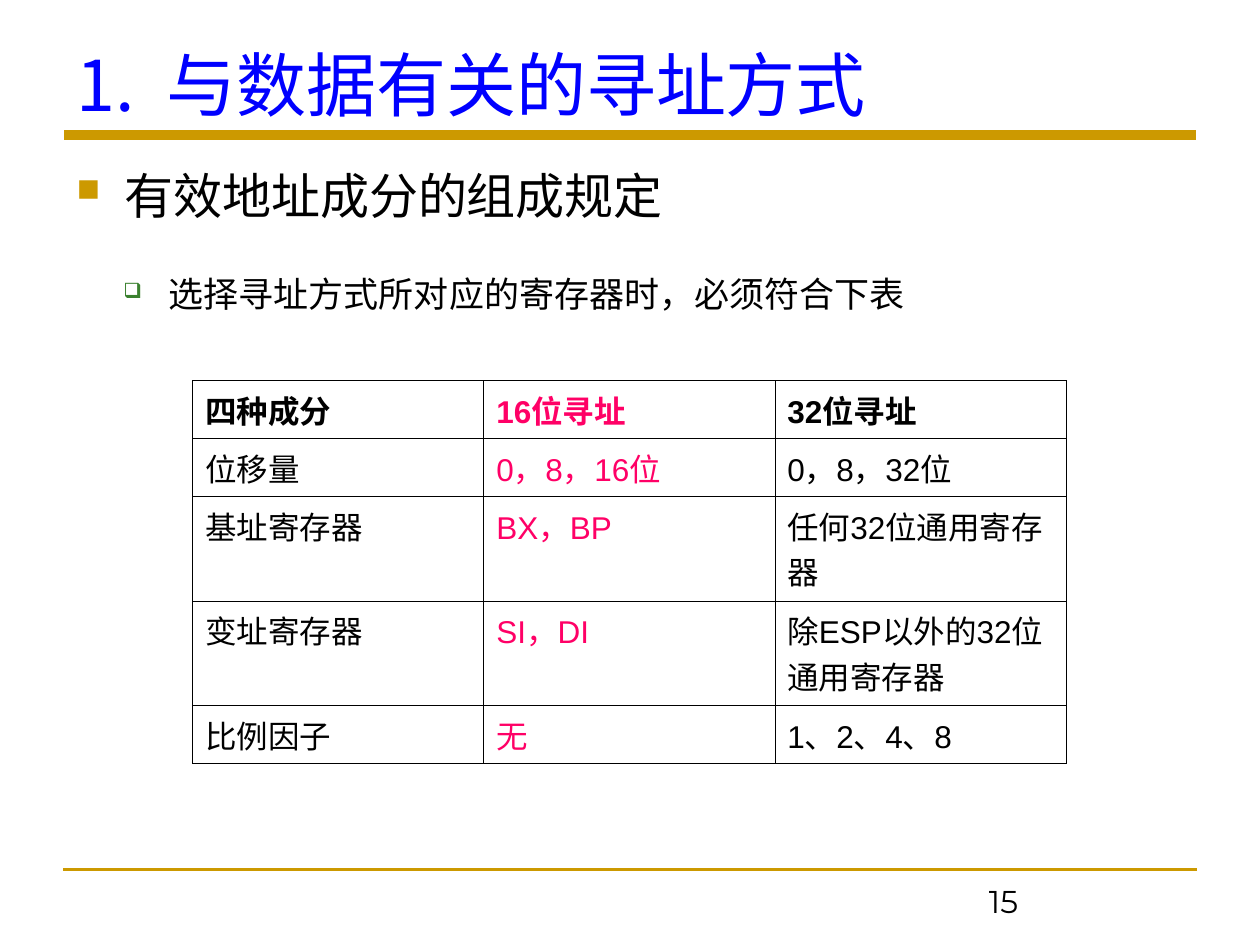
from lxml.etree import SubElement
from pptx import Presentation
from pptx.dml.color import RGBColor
from pptx.enum.shapes import MSO_CONNECTOR
from pptx.enum.text import MSO_ANCHOR, PP_ALIGN
from pptx.oxml.ns import qn
from pptx.util import Inches, Pt

COLORS = {
    "title": "0000FF",
    "gold": "CC9900",
    "green": "3B812F",
    "text": "000000",
    "accent": "FF0066",
}
CJK_FONT = "Noto Sans CJK SC"


def add_run(paragraph, text, size, color, font=CJK_FONT, bold=False):
    run = paragraph.add_run()
    run.text = text
    run.font.size = Pt(size)
    run.font.bold = bold
    run.font.name = font
    run.font.color.rgb = RGBColor.from_string(COLORS[color])
    SubElement(run._r.get_or_add_rPr(), qn("a:ea"), typeface=CJK_FONT)
    return run


presentation = Presentation()
presentation.slide_width = Inches(10)
presentation.slide_height = Inches(7.5)
slide = presentation.slides.add_slide(presentation.slide_layouts[5])

# Rules under the title and above the page number
for left, right, y, weight in [(0.5, 9.5, 6.9, 1.5), (0.51, 9.49, 1.07, 6)]:
    rule = slide.shapes.add_connector(
        MSO_CONNECTOR.STRAIGHT, Inches(left), Inches(y), Inches(right), Inches(y)
    )
    rule.line.color.rgb = RGBColor.from_string(COLORS["gold"])
    rule.line.width = Pt(weight)
    SubElement(rule._element.spPr, qn("a:effectLst"))

# Title
title = slide.shapes.title
title.left, title.top = Inches(0.51), Inches(0.33)
title.width, title.height = Inches(9), Inches(0.63)
title_frame = title.text_frame
title_frame.vertical_anchor = MSO_ANCHOR.TOP
title_frame.margin_top = title_frame.margin_bottom = 0
heading = title_frame.paragraphs[0]
heading.alignment = PP_ALIGN.LEFT
add_run(heading, "1.", 40, "title")
gap = add_run(heading, " ", 40, "title")
gap.font._element.set("spc", "900")
add_run(heading, "与数据有关的寻址方式", 40, "title")

# Bulleted points
points = [
    # text, level, size, indent, hanging, space before, bullet, colour, percent
    ("有效地址成分的组成规定", 0, 28, 0.38, 0.38, 0, "■", "gold", 65),
    ("选择寻址方式所对应的寄存器时，必须符合下表", 1, 20, 0.73, 0.36, 28, "❑", "green", 60),
]
body = slide.shapes.add_textbox(Inches(0.51), Inches(1.31), Inches(8.98), Inches(5.51))
body_frame = body.text_frame
body_frame.word_wrap = True
body_frame.margin_top = body_frame.margin_bottom = 0
for index, (text, level, size, indent, hanging, before, bullet, color, percent) in enumerate(points):
    point = body_frame.add_paragraph() if index else body_frame.paragraphs[0]
    point.level = level
    point.space_before = Pt(before)
    properties = point._p.get_or_add_pPr()
    properties.set("marL", str(Inches(indent)))
    properties.set("indent", str(-Inches(hanging)))
    bullet_color = SubElement(properties, qn("a:buClr"))
    SubElement(bullet_color, qn("a:srgbClr"), val=COLORS[color])
    SubElement(properties, qn("a:buSzPct"), val=str(percent * 1000))
    SubElement(properties, qn("a:buChar"), char=bullet)
    add_run(point, text, size, "text")

# Page number
page_number = slide.shapes.add_textbox(Inches(7.75), Inches(6.95), Inches(2.25), Inches(0.4))
page_number.text_frame.word_wrap = True
add_run(page_number.text_frame.paragraphs[0], "15", 18, "text", "Montserrat")

# Table of address components
components = [
    ("四种成分", "16位寻址", "32位寻址"),
    ("位移量", "0，8，16位", "0，8，32位"),
    ("基址寄存器", "BX，BP", "任何32位通用寄存器"),
    ("变址寄存器", "SI，DI", "除ESP以外的32位通用寄存器"),
    ("比例因子", "无", "1、2、4、8"),
]
row_heights = [0.46, 0.46, 0.83, 0.83, 0.46]
table = slide.shapes.add_table(
    len(components), 3, Inches(1.53), Inches(3.02), Inches(6.93), Inches(sum(row_heights))
).table
table.first_row = False
table.horz_banding = False
for column in table.columns:
    column.width = Inches(2.31)
for row_index, (height, row) in enumerate(zip(row_heights, components)):
    table.rows[row_index].height = Inches(height)
    for column_index, text in enumerate(row):
        cell = table.cell(row_index, column_index)
        color = "accent" if column_index == 1 else "text"
        add_run(cell.text_frame.paragraphs[0], text, 18, color, "Arial", row_index == 0)
        cell_properties = cell._tc.get_or_add_tcPr()
        for side in ("lnL", "lnR", "lnT", "lnB"):
            border = SubElement(cell_properties, qn(f"a:{side}"), w=str(Pt(0.45)))
            border_fill = SubElement(border, qn("a:solidFill"))
            SubElement(border_fill, qn("a:srgbClr"), val=COLORS["text"])
        cell.fill.background()

presentation.save("out.pptx")
